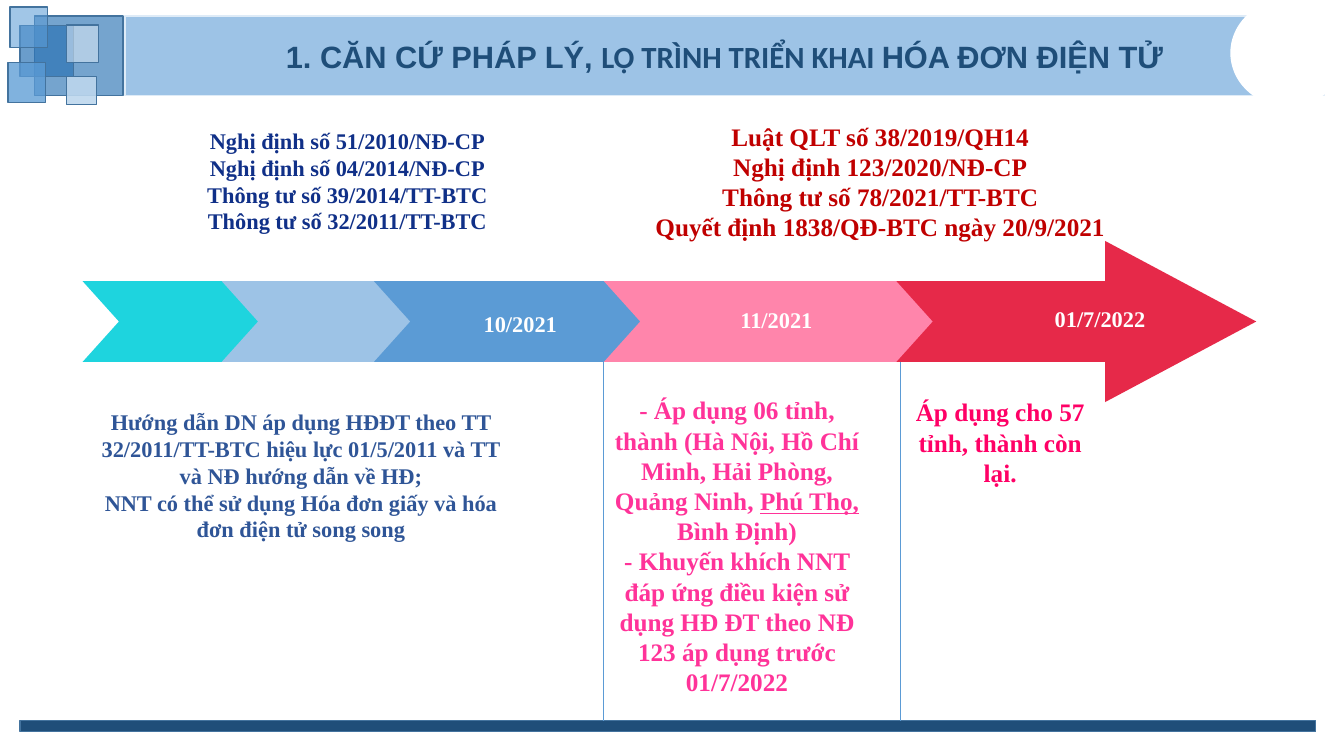
from lxml.etree import SubElement
from pptx import Presentation
from pptx.dml.color import RGBColor
from pptx.enum.shapes import MSO_CONNECTOR, MSO_SHAPE as Preset
from pptx.enum.text import MSO_ANCHOR as Anchor, MSO_AUTO_SIZE as AutoSize, PP_ALIGN
from pptx.oxml.ns import qn
from pptx.util import Inches, Pt

COLORS = {
    "white": "FFFFFF", "navy": "1F4E79", "outline": "43739E", "deep": "2E75B6",
    "blue": "5B9BD5", "sky": "9DC3E6", "pale": "BDD7EE", "ice": "DEEBF7",
    "turquoise": "1ED4DE", "red": "E62949", "rose": "FF85AB",
    "old_law": "103088", "new_law": "C00000", "guidance": "2F5597",
    "pilot": "FF3399", "rollout": "FF0066",
}


def color(name):
    return RGBColor.from_string(COLORS[name])


def write(frame, paragraphs, size=16, ink="white", font="Times New Roman",
          anchor=Anchor.MIDDLE, pad=0.0, grow=False):
    """Fill a frame with centred bold paragraphs; a run is text or (text, overrides)."""
    frame.word_wrap = True
    frame.vertical_anchor = anchor
    frame.margin_left = frame.margin_right = Inches(0.1)
    frame.margin_top = frame.margin_bottom = Inches(pad)
    frame.auto_size = AutoSize.SHAPE_TO_FIT_TEXT if grow else AutoSize.NONE
    for index, runs in enumerate(paragraphs):
        paragraph = frame.paragraphs[0] if index == 0 else frame.add_paragraph()
        paragraph.alignment = PP_ALIGN.CENTER
        for piece in [runs] if isinstance(runs, str) else runs:
            words, extra = (piece, {}) if isinstance(piece, str) else piece
            run = paragraph.add_run()
            run.text = words
            run.font.name = extra.get("font", font)
            run.font.size = Pt(size)
            run.font.bold = True
            run.font.underline = extra.get("underline")
            run.font.color.rgb = color(ink)


class RoadmapSlide:
    def __init__(self, deck):
        self.shapes = deck.slides.add_slide(deck.slide_layouts[6]).shapes

    def paint(self, shape, fill, line=None, opacity=100):
        shape.shadow.inherit = False
        shape.fill.solid()
        shape.fill.fore_color.rgb = color(fill)
        if opacity < 100:
            tint = shape.fill._xPr.find(".//" + qn("a:srgbClr"))
            SubElement(tint, qn("a:alpha"), val=str(opacity * 1000))
        if line:
            shape.line.color.rgb = color(line)
            shape.line.width = Pt(1)
        else:
            shape.line.fill.background()
        return shape

    def block(self, box, fill, line=None, opacity=100, preset=Preset.RECTANGLE):
        shape = self.shapes.add_shape(preset, *map(Inches, box))
        return self.paint(shape, fill, line, opacity)

    def chevron(self, left, fill):
        step = self.block((left, BAND_TOP, 3.26, BAND_HEIGHT), fill, preset=Preset.CHEVRON)
        step.adjustments[0] = 0.45

    def outline(self, points, fill):
        start, *rest = [(Inches(x), Inches(y)) for x, y in points]
        builder = self.shapes.build_freeform(*start)
        builder.add_line_segments(rest, close=True)
        self.paint(builder.convert_to_shape(), fill)

    def text(self, box, paragraphs, **style):
        write(self.shapes.add_textbox(*map(Inches, box)).text_frame, paragraphs, **style)

    def divider(self, x):
        line = self.shapes.add_connector(
            MSO_CONNECTOR.STRAIGHT, Inches(x), Inches(BAND_BOTTOM), Inches(x), Inches(7.15))
        line.line.color.rgb = color("blue")
        line.line.width = Pt(0.5)
        SubElement(line._element.spPr, qn("a:effectLst"))


BAND_TOP, BAND_HEIGHT = 2.79, 0.8
BAND_BOTTOM = BAND_TOP + BAND_HEIGHT
BAND_MIDDLE = BAND_TOP + BAND_HEIGHT / 2


def main():
    deck = Presentation()
    deck.slide_width, deck.slide_height = Inches(13.33), Inches(7.5)
    slide = RoadmapSlide(deck)

    # Header: banner and overlapping squares
    slide.block((0.34, 0.16, 0.88, 0.79), "deep", "outline", 66)
    banner = slide.block((1.24, 0.16, 11.89, 0.79), "sky", "ice")
    write(banner.text_frame,
          [["1. CĂN CỨ PHÁP LÝ, ", ("LỘ TRÌNH TRIỂN KHAI ", {"font": "Calibri"}),
            "HÓA ĐƠN ĐIỆN TỬ"]],
          size=22, ink="navy", font="Arial", pad=0.05)
    for box, fill, opacity in [
        ((0.2, 0.25, 0.53, 0.51), "deep", 71),
        ((0.1, 0.07, 0.37, 0.4), "blue", 57),
        ((0.08, 0.62, 0.37, 0.4), "blue", 77),
        ((0.66, 0.76, 0.3, 0.28), "pale", 89),
        ((0.66, 0.25, 0.32, 0.37), "ice", 56),
    ]:
        slide.block(box, fill, "outline", opacity)

    # Footer bar
    slide.block((0.2, 7.15, 12.85, 0.11), "navy", "outline")

    # Timeline band: chevrons with the final arrow under the last one
    for left, fill in [(0.82, "turquoise"), (2.2, "sky"), (3.71, "blue")]:
        slide.chevron(left, fill)
    tail, neck, tip = 8.35, 10.96, 12.46
    slide.outline([
        (neck, BAND_MIDDLE - 0.8), (tip, BAND_MIDDLE), (neck, BAND_MIDDLE + 0.8),
        (neck, BAND_BOTTOM), (tail, BAND_BOTTOM), (tail + 0.71, BAND_MIDDLE),
        (tail, BAND_TOP), (neck, BAND_TOP),
    ], "red")
    slide.chevron(5.99, "rose")
    for left, top, date in [(6.29, 3.04, "11/2021"), (9.5, 3.03, "01/7/2022"),
                            (3.75, 3.08, "10/2021")]:
        slide.text((left, top, 2.82, 0.26), [date])

    # Legal documents above the band
    slide.text((1.24, 1.21, 4.41, 1.18),
               ["Nghị định số 51/2010/NĐ-CP", "Nghị định số 04/2014/NĐ-CP",
                "Thông tư số 39/2014/TT-BTC", "Thông tư số 32/2011/TT-BTC"],
               ink="old_law", anchor=Anchor.TOP, pad=0.05, grow=True)
    slide.text((6.29, 1.15, 4.88, 1.31),
               ["Luật QLT số 38/2019/QH14", "Nghị định 123/2020/NĐ-CP",
                "Thông tư số 78/2021/TT-BTC", "Quyết định 1838/QĐ-BTC ngày 20/9/2021"],
               size=18, ink="new_law", anchor=Anchor.TOP, pad=0.05, grow=True)

    # Scope of each stage below the band
    slide.text((5.98, 3.85, 2.66, 3.13),
               [["- Áp dụng 06 tỉnh, thành (Hà Nội, Hồ Chí Minh, Hải Phòng, Quảng Ninh, ",
                 ("Phú Thọ, ", {"underline": True}), "Bình Định)"],
                "- Khuyến khích NNT đáp ứng điều kiện sử dụng HĐ ĐT theo NĐ 123 "
                "áp dụng trước 01/7/2022"],
               size=18, ink="pilot")
    slide.text((8.93, 3.9, 1.98, 0.97), ["Áp dụng cho 57 tỉnh, thành còn lại."],
               size=18, ink="rollout")
    slide.text((0.82, 4, 4.33, 1.33),
               ["Hướng dẫn DN áp dụng HĐĐT theo TT 32/2011/TT-BTC hiệu lực 01/5/2011 "
                "và TT và NĐ hướng dẫn về HĐ;",
                "NNT có thể sử dụng Hóa đơn giấy và hóa đơn điện tử song song"],
               ink="guidance", anchor=Anchor.TOP, pad=0.05)
    for x in (5.98, 8.93):
        slide.divider(x)

    # Round notch at the end of the banner
    slide.block((12.21, 0, 1.13, 1.05), "white", "white", preset=Preset.OVAL)

    deck.save("out.pptx")


if __name__ == "__main__":
    main()
